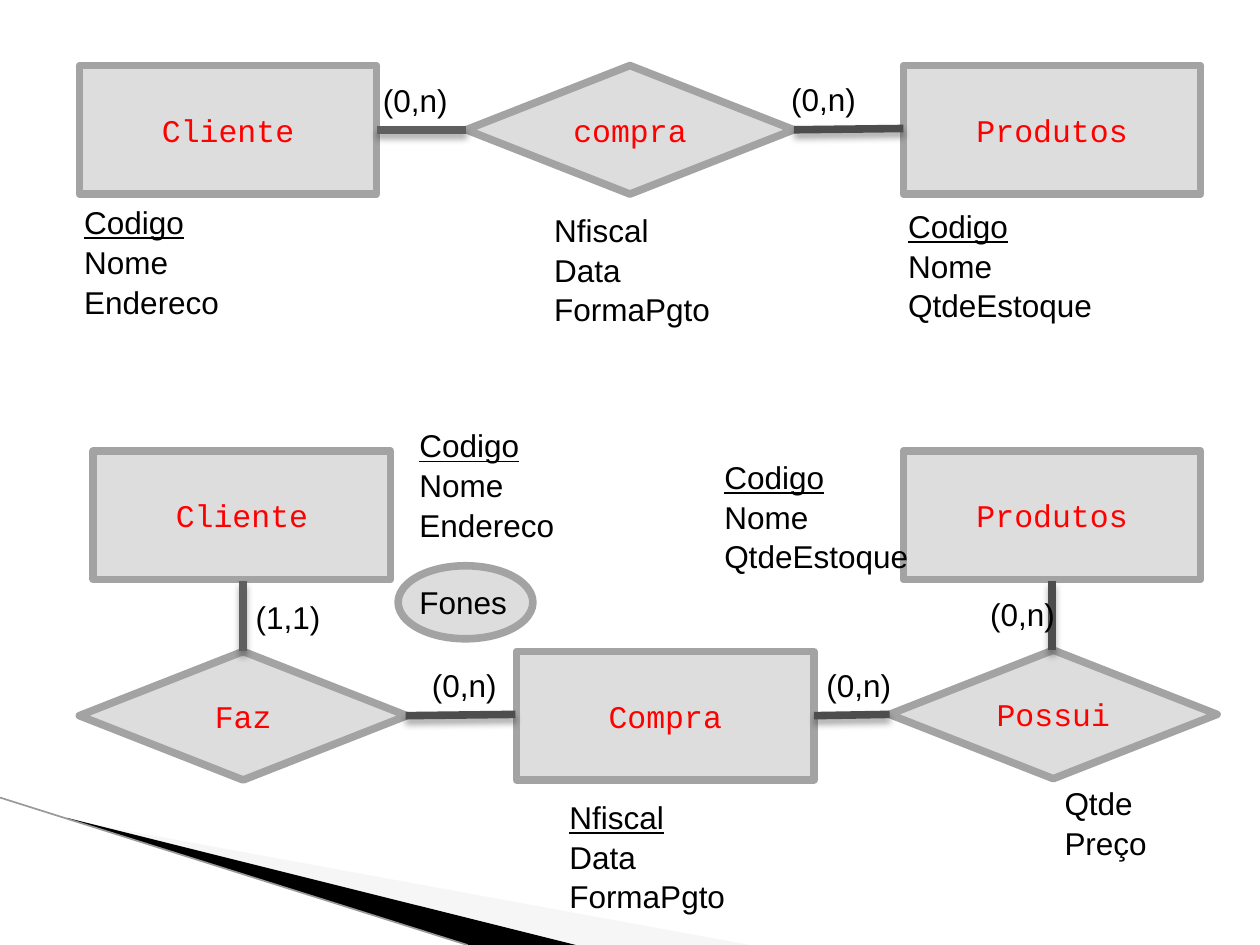
from lxml import etree
from pptx import Presentation
from pptx.dml.color import RGBColor
from pptx.enum.shapes import MSO_CONNECTOR, MSO_SHAPE
from pptx.enum.text import MSO_ANCHOR, PP_ALIGN
from pptx.oxml import parse_xml
from pptx.oxml.ns import nsdecls, qn
from pptx.util import Inches, Pt

BLACK = RGBColor(0x00, 0x00, 0x00)
RED = RGBColor(0xFF, 0x00, 0x00)
PALE = RGBColor(0xEA, 0xEA, 0xEA)
FILL = RGBColor(0xDD, 0xDD, 0xDD)
BORDER = RGBColor(0xA3, 0xA3, 0xA3)
EDGE = RGBColor(0x99, 0x99, 0x99)
LINK = RGBColor(0x5F, 0x5F, 0x5F)
DARK_LINK = RGBColor(0x4D, 0x4D, 0x4D)
STROKE = Pt(4.33)
LINE_SPACING = 1.05

deck = Presentation()
deck.slide_width, deck.slide_height = Inches(10), Inches(7.5)
page = deck.slides.add_slide(deck.slide_layouts[6])
shapes = page.shapes
CELL = deck.slide_width // 100  # square grid: 100 columns by 75 rows


def grid(*cells):
    return [round(cell * CELL) for cell in cells]


def add_line(start, end, color, width):
    line = shapes.add_connector(MSO_CONNECTOR.STRAIGHT, *grid(*start, *end))
    line.line.color.rgb = color
    line.line.width = width
    effects = parse_xml(f"<a:effectLst {nsdecls('a')}/>")
    line._element.spPr.append(effects)
    return effects


# Corner wedges and their edge line
wedges = [
    ([(5.5, 65.1), (59.5, 75), (45.6, 75), (5.5, 65)], PALE),
    ([(5.3, 64.9), (45.7, 75), (37.2, 75), (5.4, 65)], BLACK),
]
for points, color in wedges:
    corners = [tuple(grid(*point)) for point in points]
    builder = shapes.build_freeform(*corners[0], scale=1.0)
    builder.add_line_segments(corners[1:], close=True)
    wedge = builder.convert_to_shape()
    wedge.shadow.inherit = False
    wedge.fill.solid()
    wedge.fill.fore_color.rgb = color
    wedge.line.fill.background()
    if color == PALE:
        paint = wedge._element.spPr.find(".//" + qn("a:srgbClr"))
        etree.SubElement(paint, qn("a:alpha"), val="40000")
add_line((0, 63.3), (37.1, 75), EDGE, Pt(0.95))

# Entities, relationships and the multivalued attribute
SIZES = {
    MSO_SHAPE.RECTANGLE: (23.6, 10.2),
    MSO_SHAPE.DIAMOND: (26, 10.2),
    MSO_SHAPE.OVAL: (10.7, 5.8),
}
nodes = [
    (MSO_SHAPE.OVAL, 31.6, 44.9, ""),
    (MSO_SHAPE.RECTANGLE, 6.3, 5.2, "Cliente"),
    (MSO_SHAPE.RECTANGLE, 71.7, 5.2, "Produtos"),
    (MSO_SHAPE.DIAMOND, 37, 5.2, "compra"),
    (MSO_SHAPE.RECTANGLE, 7.4, 35.8, "Cliente"),
    (MSO_SHAPE.RECTANGLE, 71.7, 35.8, "Produtos"),
    (MSO_SHAPE.DIAMOND, 6.3, 51.7, "Faz"),
    (MSO_SHAPE.RECTANGLE, 41, 51.7, "Compra"),
    (MSO_SHAPE.DIAMOND, 70.6, 51.6, "Possui"),
]
for kind, left, top, name in nodes:
    node = shapes.add_shape(kind, *grid(left, top, *SIZES[kind]))
    node.shadow.inherit = False
    node.fill.solid()
    node.fill.fore_color.rgb = FILL
    node.line.color.rgb = BORDER
    node.line.width = STROKE
    if name:
        node.text_frame.vertical_anchor = MSO_ANCHOR.MIDDLE
        para = node.text_frame.paragraphs[0]
        para.text = name
        para.alignment = PP_ALIGN.CENTER
        para.font.name, para.font.size = "Courier New", Pt(18)
        para.font.color.rgb = RED

# Links between entities and relationships, with a soft shadow below
links = [
    ((29.9, 10.3), (37, 10.3), LINK),
    ((63, 10.3), (71.7, 10.2), DARK_LINK),
    ((19.3, 46.1), (19.3, 51.7), LINK),
    ((32.2, 56.8), (40.9, 56.7), DARK_LINK),
    ((64.6, 56.8), (70.6, 56.7), DARK_LINK),
    ((83.5, 46.1), (83.5, 51.6), DARK_LINK),
]
for start, end, color in links:
    effects = add_line(start, end, color, STROKE)
    effects.append(parse_xml(
        f'<a:outerShdw {nsdecls("a")} blurRad="{Pt(4)}" dist="{Pt(3)}" '
        'dir="5400000" rotWithShape="0"><a:srgbClr val="000000">'
        '<a:alpha val="35000"/></a:srgbClr></a:outerShdw>'))

# Cardinalities and attribute lists; key attributes are underlined
CARDINALITY, LIST = 8.8, 24.8
labels = [
    (61.8, 5.7, CARDINALITY, ["(0,n)"]),
    (29.4, 5.8, CARDINALITY, ["(0,n)"]),
    (19.3, 46.8, CARDINALITY, ["(1,1)"]),
    (33.3, 52.2, CARDINALITY, ["(0,n)"]),
    (64.6, 52.2, CARDINALITY, ["(0,n)"]),
    (77.6, 46.6, CARDINALITY, ["(0,n)"]),
    (5.7, 15.5, LIST, ["Codigo", "Nome", "Endereco"]),
    (71.1, 15.8, LIST, ["Codigo", "Nome", "QtdeEstoque"]),
    (43, 16.1, LIST, ["Nfiscal", "Data", "FormaPgto"]),
    (32.3, 33.2, LIST, ["Codigo", "Nome", "Endereco", "Fones"]),
    (56.5, 35.7, LIST, ["Codigo", "Nome", "QtdeEstoque"]),
    (44.2, 62.7, LIST, ["Nfiscal", "Data", "FormaPgto"]),
    (83.5, 61.6, 16.5, ["Qtde", "Preço"]),
]
KEY_TOPS = (15.5, 15.8, 33.2, 35.7, 62.7)
for left, top, width, lines in labels:
    box = shapes.add_textbox(*grid(left, top, width, 1 + 3 * len(lines)))
    frame = box.text_frame
    frame.word_wrap = True
    frame.text = "\n".join(lines)
    for para in frame.paragraphs:
        para.line_spacing = LINE_SPACING
        para.font.name, para.font.size = "Arial", Pt(18)
        para.font.color.rgb = BLACK
        if para.text == "Fones":
            para.space_before = Pt(21.7)
    if top in KEY_TOPS:
        frame.paragraphs[0].runs[0].font.underline = True

deck.save("out.pptx")
